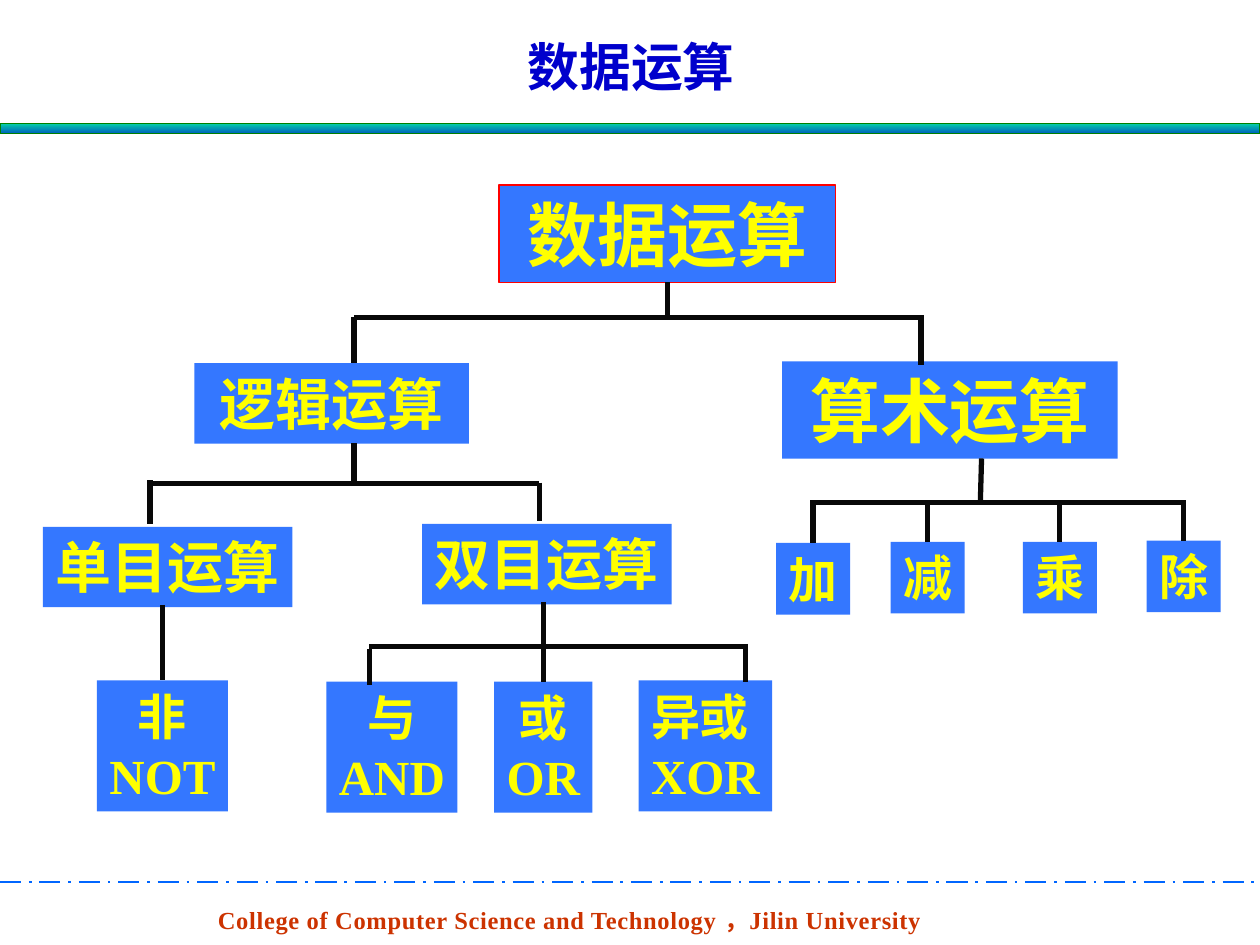
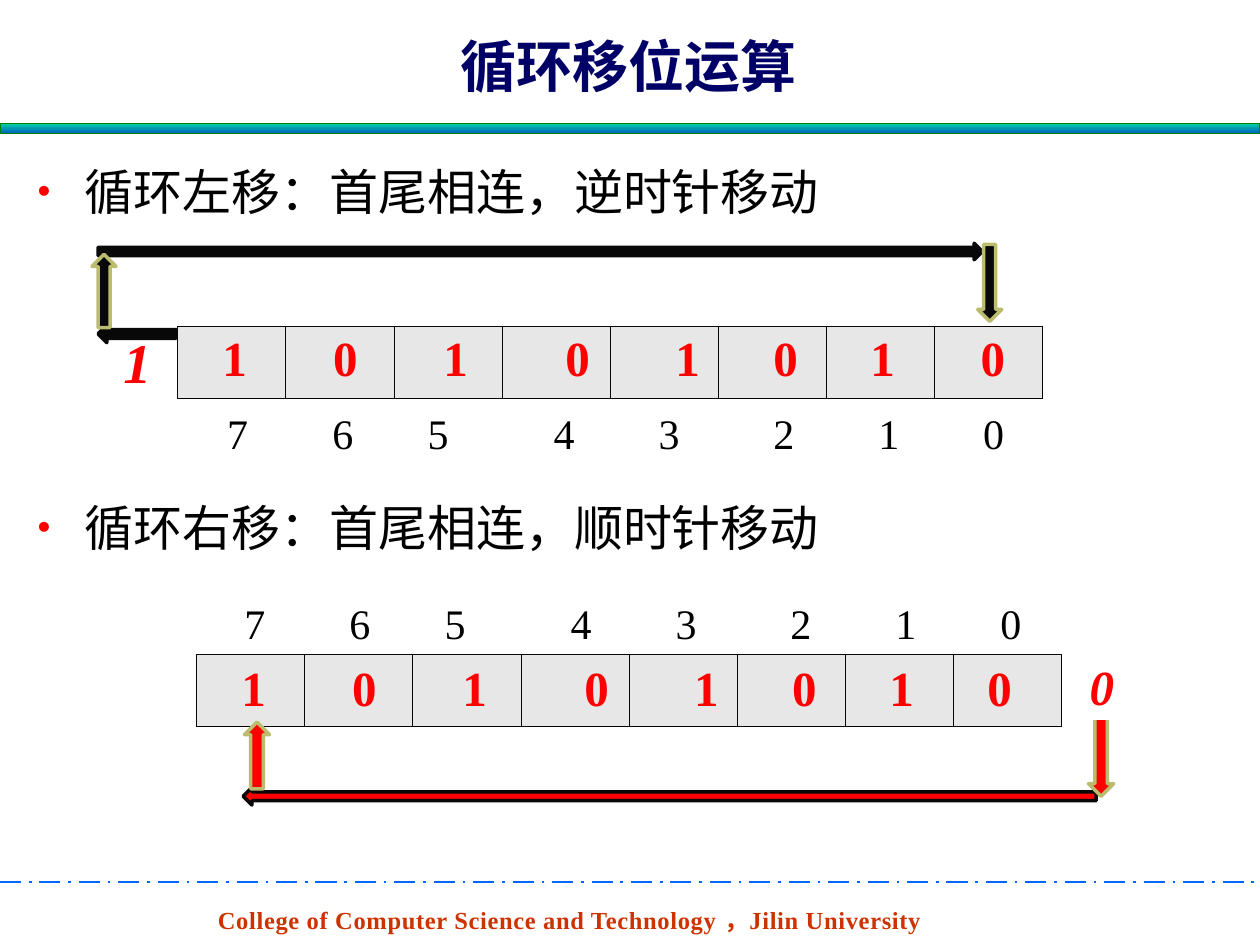
from lxml.etree import SubElement
from pptx import Presentation
from pptx.dml.color import RGBColor
from pptx.enum.dml import MSO_LINE
from pptx.enum.shapes import MSO_CONNECTOR, MSO_SHAPE
from pptx.enum.text import MSO_ANCHOR, PP_ALIGN
from pptx.oxml.ns import qn
from pptx.util import Pt

HEX = {
    "foot": "CC3300", "dash": "0066FF", "rim": "008000",
    "teal": "03D4A8", "deep": "005CBF", "title": "0000CC",
    "navy": "000066", "box": "3477FF", "yellow": "FFFF00",
    "red": "FF0000", "ink": "080808", "black": "000000",
    "cell": "E7E7E7", "grid": "060606", "olive": "BCBC6F",
    "white": "FFFFFF",
}
SERIF, SANS, CJK = "Times New Roman", "Arial", "Noto Sans CJK SC"
WIDE, HIGH = 720, 540
BIT_TABS = [27.7, 91, 154, 223.7, 286.5, 342.5, 398]
POS_TABS = [23, 83, 137.5, 209.5, 269.5, 335, 395, 455]


def hue(name):
    return RGBColor.from_string(HEX[name])


def style(frame, size, color, face=SERIF, bold=False, italic=False,
          align=PP_ALIGN.LEFT, space=None):
    for para in frame.paragraphs:
        para.alignment = align
        para.line_spacing = space
        for run in para.runs:
            font = run.font
            font.size, font.bold, font.italic = Pt(size), bold, italic
            font.color.rgb = hue(color)
            font.name = face
            SubElement(font._element, qn("a:ea"), typeface=CJK)


def label(slide, text, left, top, width, height, size, color, **look):
    frame = slide.shapes.add_textbox(
        Pt(left), Pt(top), Pt(width), Pt(height)).text_frame
    frame.word_wrap = True
    frame.text = text
    style(frame, size, color, **look)
    return frame


def shape(slide, kind, left, top, width, height, fill, edge=None, weight=0.75):
    item = slide.shapes.add_shape(
        kind, Pt(left), Pt(top), Pt(width), Pt(height))
    item.shadow.inherit = False
    item.fill.solid()
    item.fill.fore_color.rgb = hue(fill)
    if edge:
        item.line.color.rgb = hue(edge)
        item.line.width = Pt(weight)
    else:
        item.line.fill.background()
    return item


def node(slide, text, left, top, width, height, size,
         face=SERIF, edge=None, align=PP_ALIGN.CENTER):
    item = shape(slide, MSO_SHAPE.RECTANGLE, left, top, width, height,
                 "box", edge)
    frame = item.text_frame
    frame.word_wrap = False
    frame.vertical_anchor = MSO_ANCHOR.TOP
    frame.text = text
    style(frame, size, "yellow", face, bold=True, align=align)
    return item


def line(slide, x1, y1, x2, y2, color="ink", weight=3):
    item = slide.shapes.add_connector(
        MSO_CONNECTOR.STRAIGHT, Pt(x1), Pt(y1), Pt(x2), Pt(y2))
    item.line.color.rgb = hue(color)
    item.line.width = Pt(weight)
    SubElement(item._element.spPr, qn("a:effectLst"))
    return item


def drop(slide, y, box):
    """Draw a vertical line from height y to the top middle of a box."""
    mid = (box.left + box.width / 2) / Pt(1)
    line(slide, mid, y, mid, box.top / Pt(1)).end_connect(box, 0)
    return mid


def base(deck):
    """Add a slide with the footer, the dashed rule and the title band."""
    slide = deck.slides.add_slide(deck.slide_layouts[6])
    foot = label(slide, "College of Computer Science and Technology "
                 "，Jilin University", 117.4, 513.4, 426.2, 24.5, 14, "foot",
                 bold=True)
    foot.paragraphs[0].runs[0].font._element.set("spc", "36")
    rule = line(slide, 0, 504, WIDE, 504, "dash", 1.5)
    rule.line.dash_style = MSO_LINE.LONG_DASH_DOT
    band = shape(slide, MSO_SHAPE.RECTANGLE, 0, 70.5, WIDE, 6, "teal", "rim")
    band.fill.gradient()
    band.fill.gradient_angle = 270
    for stop, name in zip(band.fill.gradient_stops, ("teal", "deep")):
        stop.color.rgb = hue(name)
    return slide


def bullet(slide, text, top):
    frame = label(slide, text, 14.4, top, 662.4, 51, 28, "black", face=SANS)
    props = frame.paragraphs[0]._p.get_or_add_pPr()
    props.set("marL", str(Pt(27)))
    props.set("indent", str(Pt(-27)))
    tint = SubElement(props, qn("a:buClr"))
    SubElement(tint, qn("a:srgbClr"), val=HEX["red"])
    SubElement(props, qn("a:buSzPct"), val="75000")
    SubElement(props, qn("a:buFont"), typeface=SANS)
    SubElement(props, qn("a:buChar"), char="•")


def digits(slide, text, left, top, stops, size, color, bold=False):
    """Write one digit at each centred tab stop."""
    frame = label(slide, "".join("\t" + char for char in text),
                  left, top, 507, 32, size, color, bold=bold, space=0.8)
    tabs = SubElement(frame.paragraphs[0]._p.get_or_add_pPr(), qn("a:tabLst"))
    for stop in stops:
        SubElement(tabs, qn("a:tab"), pos=str(Pt(stop)), algn="ctr")


def cells(slide, left, top):
    """Draw the empty register of eight equal cells."""
    table = slide.shapes.add_table(
        1, 8, Pt(left), Pt(top), Pt(494.4), Pt(41)).table
    table.first_row = table.horz_banding = False
    for cell in table.iter_cells():
        props = cell._tc.get_or_add_tcPr()
        for side in ("lnL", "lnR", "lnT", "lnB"):
            edge = SubElement(props, qn("a:" + side), w=str(Pt(0.45)))
            fill = SubElement(edge, qn("a:solidFill"))
            SubElement(fill, qn("a:srgbClr"), val=HEX["grid"])
        cell.fill.solid()
        cell.fill.fore_color.rgb = hue("cell")


def byte(slide, left, top, pos_left, pos_top, bit_top, last):
    """Draw a register with its bits and its bit numbers."""
    cells(slide, left, top)
    digits(slide, "76543210", pos_left, pos_top, POS_TABS, 24, "black")
    digits(slide, "10101010", left - 2.2, bit_top, BIT_TABS + [last],
           28, "red", True)


def tree(deck):
    slide = base(deck)
    label(slide, "数据运算", 54.7, 20.2, 612, 44.6, 29.6, "title", face=SANS,
          bold=True, align=PP_ALIGN.CENTER, space=0.9)
    root = node(slide, "数据运算", 285.2, 105.8, 192.2, 55.5, 40, edge="red")
    node(slide, "算术运算", 447, 206.6, 191.7, 55.5, 40)
    node(slide, "逻辑运算", 111, 207.5, 157, 46, 32)
    node(slide, "单目运算", 24.5, 301, 142.6, 46, 32, CJK)
    node(slide, "双目运算", 241.2, 299.3, 142.6, 46, 32, CJK)
    node(slide, "与\nAND", 186.5, 389.5, 74.9, 74.9, 28)
    either = node(slide, "或\nOR", 282.4, 389.5, 56.2, 74.9, 28)
    node(slide, "异或\nXOR", 365, 388.8, 76.3, 74.9, 28, align=PP_ALIGN.LEFT)

    line(slide, 381.3, 161.3, 381.3, 181.4).begin_connect(root, 2)
    for ends in [
        (202.3, 181.4, 527.8, 181.4), (202.3, 181.4, 202.3, 207.4),
        (526.3, 181.4, 526.3, 208.8), (202.3, 253.4, 202.3, 278),
        (85.7, 276.5, 308.2, 276.5), (308.2, 275.8, 308.2, 298),
        (85.7, 274.5, 85.7, 299.5), (211, 369.4, 425.5, 369.4),
        (211, 370.8, 211, 391.7), (426.2, 368, 426.2, 389.5),
        (560.9, 262, 560.2, 287.3),
    ]:
        line(slide, *ends)
    drop(slide, 344.2, either)
    invert = node(slide, "非\nNOT", 55.4, 388.8, 74.9, 74.9, 28)
    drop(slide, 345.6, invert)

    mids = []
    for text, left, top in [("加", 443.5, 310.3), ("减", 509, 309.6),
                            ("乘", 584.5, 309.6), ("除", 655.2, 308.9)]:
        leaf = node(slide, text, left, top, 42.3, 41, 28)
        mids.append(drop(slide, 287.3, leaf))
    line(slide, mids[0] - 1.5, 287.3, mids[-1] + 1.5, 287.3)


def shift(deck):
    slide = base(deck)
    label(slide, "循环移位运算", 186.5, 14.4, 345.6, 46, 32, "navy",
          bold=True, align=PP_ALIGN.CENTER)
    bullet(slide, "循环左移：首尾相连，逆时针移动", 88.6)
    byte(slide, 101.5, 186.5, 105.8, 234.7, 190, 461)
    bullet(slide, "循环右移：首尾相连，顺时针移动", 280.8)
    byte(slide, 112.3, 374, 115.5, 343.4, 378.7, 454)

    left, right = MSO_SHAPE.LEFT_ARROW, MSO_SHAPE.RIGHT_ARROW
    up, down = MSO_SHAPE.UP_ARROW, MSO_SHAPE.DOWN_ARROW
    for kind, x, y, width, height, fill, edge in [
        (left, 139, 450, 487.4, 10, "red", "ink"),
        (left, 56, 185.8, 44.6, 10, "ink", "ink"),
        (right, 56, 139, 505.4, 9.4, "ink", "ink"),
        (down, 622, 409, 14.4, 46, "red", "olive"),
        (down, 558.7, 139.7, 13.7, 44, "ink", "olive"),
        (up, 52.6, 145.4, 13.7, 41.8, "ink", "olive"),
        (up, 139.7, 412.6, 14.4, 38.2, "red", "olive"),
        (MSO_SHAPE.RECTANGLE, 610.6, 370.8, 39.6, 39.6, "white", "white"),
    ]:
        shape(slide, kind, x, y, width, height, fill, edge, 2)
    label(slide, "1", 63.4, 183.6, 30.2, 46, 32, "red",
          bold=True, italic=True)
    label(slide, "0", 615.6, 371.5, 39.6, 41, 28, "red",
          bold=True, italic=True)


def main():
    deck = Presentation()
    deck.slide_width, deck.slide_height = Pt(WIDE), Pt(HIGH)
    tree(deck)
    shift(deck)
    deck.save("out.pptx")


if __name__ == "__main__":
    main()
